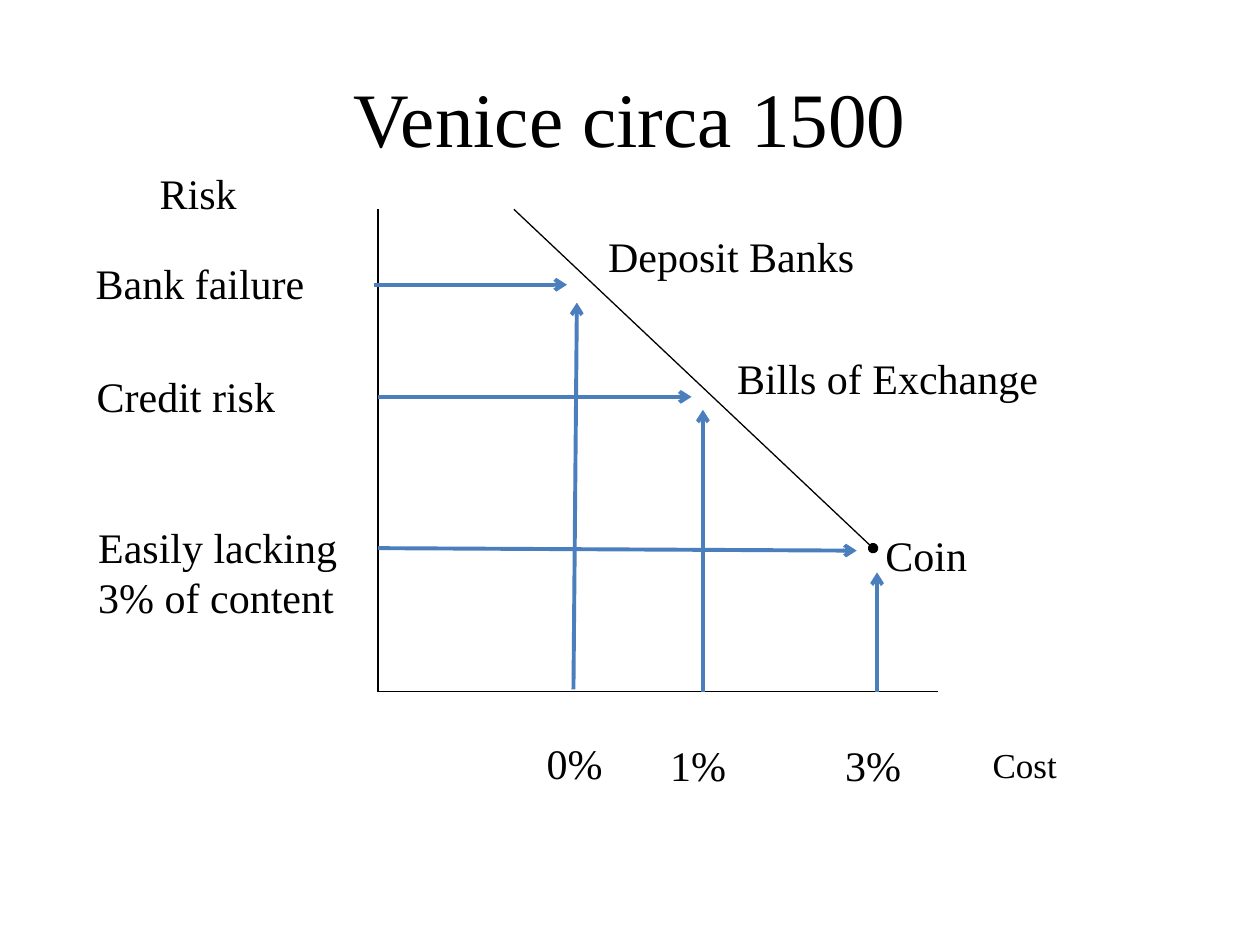
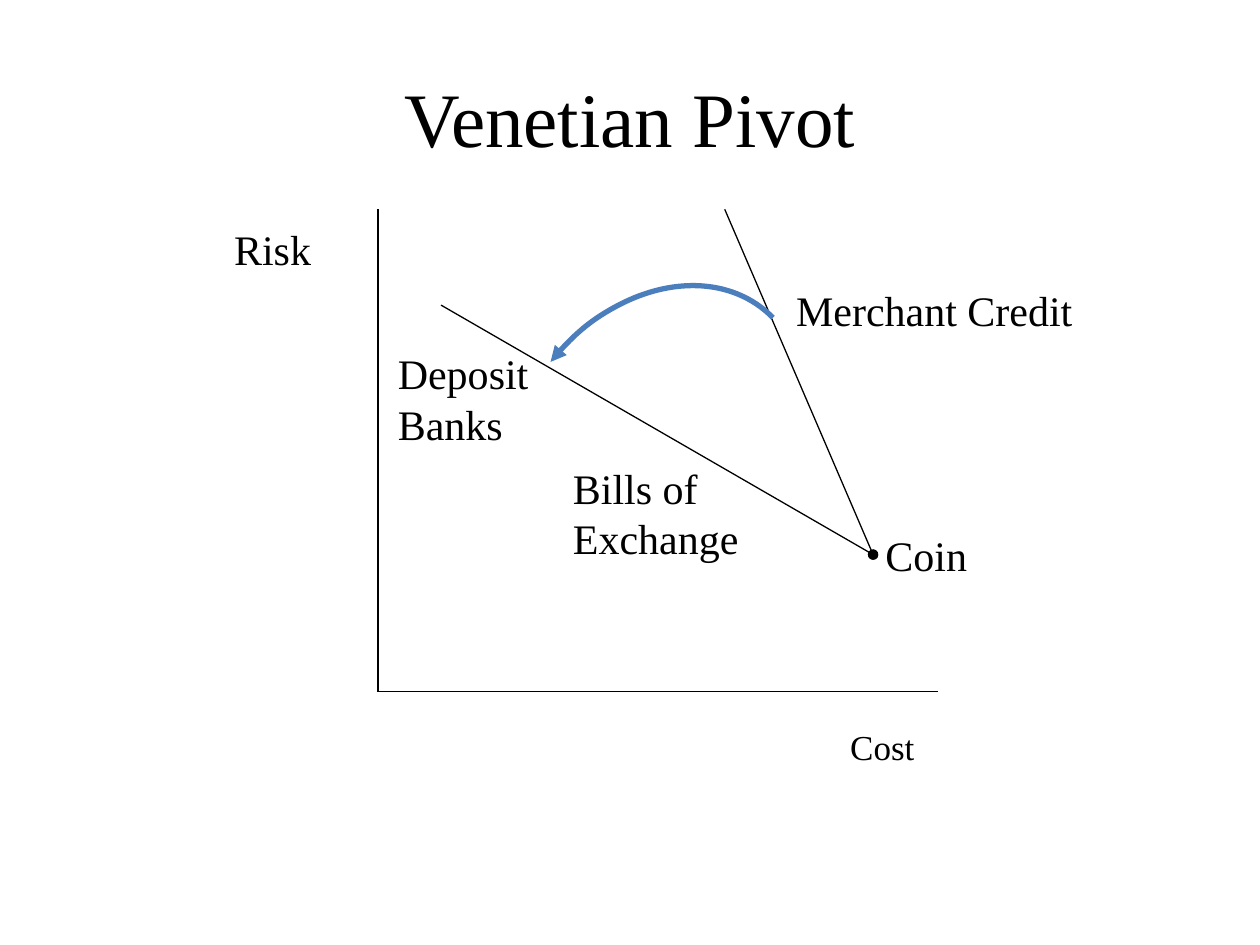
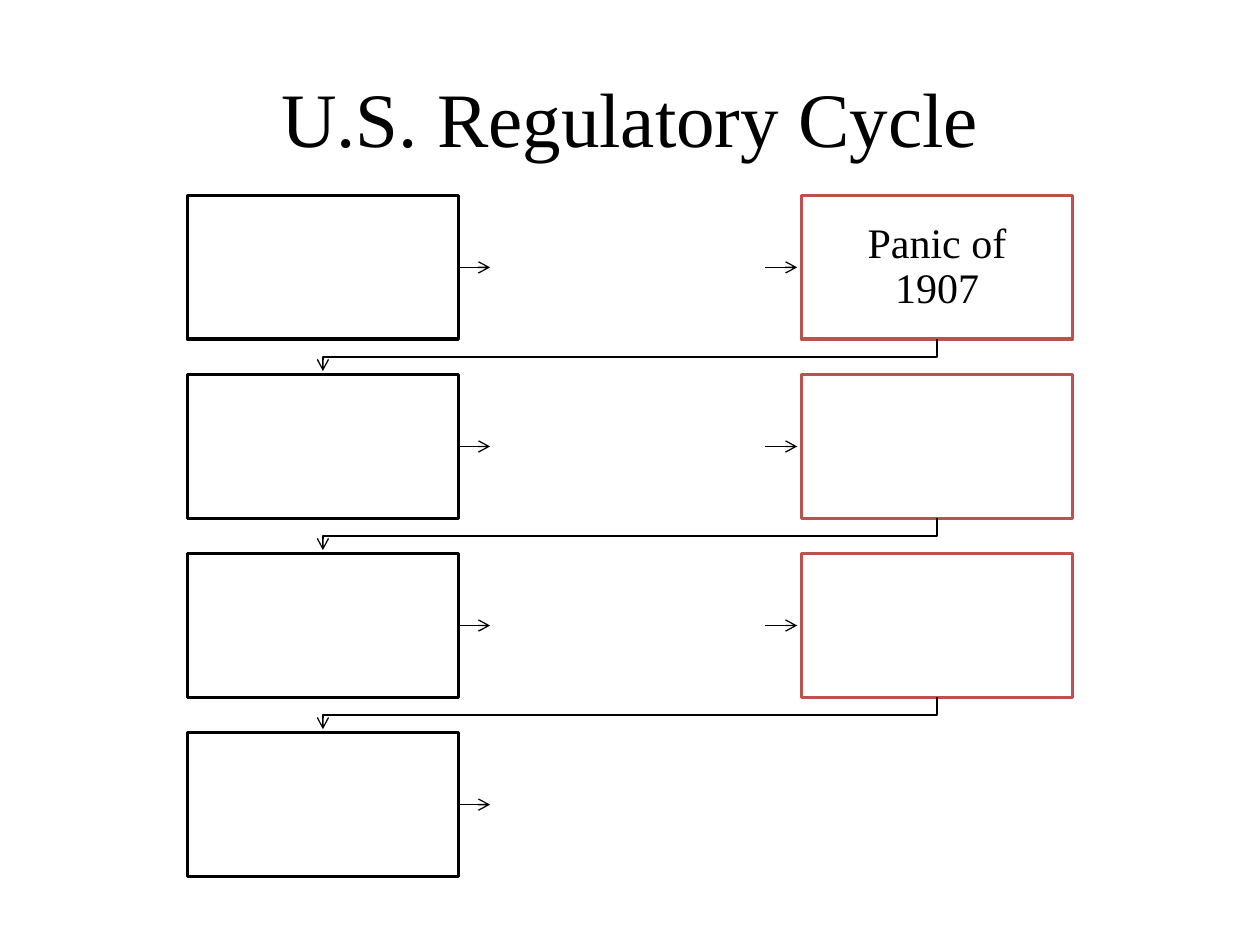
import pptx
import pptx.dml.color
import pptx.enum.shapes
import pptx.enum.text
import pptx.util
from lxml import etree
from pptx.oxml.ns import qn

Cm, Pt = pptx.util.Cm, pptx.util.Pt
SHAPE = pptx.enum.shapes.MSO_SHAPE
CENTER = pptx.enum.text.PP_ALIGN.CENTER
MIDDLE = pptx.enum.text.MSO_ANCHOR.MIDDLE

FONT = "Times New Roman"
COLORS = {"ink": "000000", "paper": "FFFFFF", "arrow": "4B7EBC", "crisis": "C0504D"}
TITLE_BOX = (1.27, 0.76, 22.86, 3.18)
PLOT_BOX = (7.62, 4.22, 11.28, 9.72)
CYCLE_BOX = (3.78, 3.94, 17.84, 13.73)


def rgb(name):
    return pptx.dml.color.RGBColor.from_string(COLORS[name])


def set_font(p, size):
    p.font.name, p.font.size = FONT, Pt(size)
    p.font.color.rgb = rgb("ink")


def set_line(s, color="ink", width=0.75, head=None, tail=None):
    """Style an outline; head and tail name the ends at its start and finish."""
    s.line.color.rgb = rgb(color)
    s.line.width = Pt(width)
    for tag, kind in (("a:headEnd", head), ("a:tailEnd", tail)):
        if kind:
            etree.SubElement(s.line._get_or_add_ln(), qn(tag), type=kind)


def add_line(slide, start, end, **style):
    s = slide.shapes.add_connector(pptx.enum.shapes.MSO_CONNECTOR.STRAIGHT,
                                   *(Cm(v) for v in (*start, *end)))
    set_line(s, **style)
    etree.SubElement(s._element.spPr, qn("a:effectLst"))
    return s


def add_text(slide, text, box, size=24, wrap=True):
    s = slide.shapes.add_textbox(*(Cm(v) for v in box))
    tf = s.text_frame
    tf.word_wrap = wrap
    tf.text = text
    for p in tf.paragraphs:
        set_font(p, size)
    return tf


def add_titled_slide(prs, title):
    slide = prs.slides.add_slide(prs.slide_layouts[6])
    tf = add_text(slide, title, TITLE_BOX, 44)
    tf.vertical_anchor = MIDDLE
    tf.paragraphs[0].alignment = CENTER
    return slide


def add_plot(slide, box, risk_at, cost_at, frontiers, labels, arrows=()):
    """Draw a risk and cost diagram; all points are offsets from the box corner."""
    left, top, width, height = box

    def at(point):
        return left + point[0], top + point[1]

    origin = at((0, height))
    add_line(slide, at((0, 0)), origin)
    add_line(slide, origin, at((width, height)))
    for name, point, size in (("Risk", risk_at, 24), ("Cost", cost_at, 20)):
        p = add_text(slide, name, (*at(point), 4.01, 1.73), size).paragraphs[0]
        p.line_spacing, p.space_after = 1.15, Pt(10)
    for start, end in frontiers:
        add_line(slide, at(start), at(end), tail="oval")
    for text, point, size, wrap in labels:
        add_text(slide, text, (*at(point), *size), wrap=wrap)
    for start, end in arrows:
        add_line(slide, at(start), at(end), color="arrow", width=2.25, tail="arrow")


def add_pivot_arc(slide, box):
    s = slide.shapes.add_shape(SHAPE.ARC, *(Cm(v) for v in box))
    s.adjustments[0], s.adjustments[1] = 162, 2.6
    s.rotation = 308.5
    s.shadow.inherit = False
    s.fill.background()
    set_line(s, "arrow", 3, head="triangle")


def add_card(slide, box, outline=None, text=""):
    s = slide.shapes.add_shape(SHAPE.RECTANGLE, *(Cm(v) for v in box))
    s.shadow.inherit = False
    s.fill.solid()
    s.fill.fore_color.rgb = rgb("paper")
    if outline:
        set_line(s, outline, 2)
    else:
        s.line.fill.background()
    if text:
        tf = s.text_frame
        tf.margin_left = tf.margin_right = tf.margin_top = tf.margin_bottom = Cm(0.48)
        tf.word_wrap, tf.vertical_anchor = True, MIDDLE
        tf.text = text
        p = tf.paragraphs[0]
        p.alignment, p.line_spacing = CENTER, 0.9
        set_font(p, 24)
    return s


def add_return_arrow(slide, start, end, bend_y):
    points = [(Cm(x), Cm(y)) for x, y in
              (start, (start[0], bend_y), (end[0], bend_y), end)]
    builder = slide.shapes.build_freeform(*points[0])
    builder.add_line_segments(points[1:], close=False)
    s = builder.convert_to_shape()
    s.shadow.inherit = False
    s.fill.background()
    set_line(s, tail="arrow")


def add_cycle(slide, box, rows):
    """Lay out rows of cards, read left to right and linked row to row."""
    left, top, width, height = box
    card_w, card_h, reach = 5.46, 2.9, 0.64
    step_x = (width - card_w) / 2
    step_y = (height - card_h) / (len(rows) - 1)
    outlines = ("ink", None, "crisis")
    for i, row in enumerate(rows):
        y = top + i * step_y
        for j, text in enumerate(row):
            x = left + j * step_x
            card = add_card(slide, (x, y, card_w, card_h), outlines[j], text)
            if j < len(row) - 1:
                edge, mid = x + card_w, y + card_h / 2
                s = add_line(slide, (edge, mid), (edge + reach, mid), tail="arrow")
                s.begin_connect(card, 3)
        if i < len(rows) - 1:
            bottom, center = y + card_h, left + card_w / 2
            add_return_arrow(slide, (center + 2 * step_x, bottom),
                             (center, bottom + reach), (bottom + y + step_y) / 2)


def main():
    prs = pptx.Presentation()
    prs.slide_width, prs.slide_height = Cm(25.4), Cm(19.05)

    axis_label, percent = (5.87, 1.27), (2.29, 1.27)
    coin_label = ("Coin", (9.98, 6.32), (2.18, 1.27), False)

    slide = add_titled_slide(prs, "Venice circa 1500")
    add_plot(
        slide, PLOT_BOX, risk_at=(-4.65, -1.12), cost_at=(12.14, 10.52),
        frontiers=[((2.74, 0), (9.98, 6.83))],
        labels=[
            coin_label,
            ("Bills of Exchange", (6.99, 2.77), (6.63, 1.27), False),
            ("Deposit Banks", (4.39, 0.3), (5.51, 1.27), False),
            ("Easily lacking 3% of content", (-5.89, 6.17), (5.87, 2.31), True),
            ("Credit risk", (-5.92, 3.12), axis_label, True),
            ("Bank failure", (-5.94, 0.84), axis_label, True),
            ("0%", (3.15, 10.52), percent, True),
            ("1%", (5.64, 10.57), percent, True),
            ("3%", (9.17, 10.57), percent, True),
        ],
        arrows=[
            ((0, 6.83), (9.65, 6.88)), ((10.06, 9.72), (10.06, 7.32)),
            ((0, 3.78), (6.32, 3.78)), ((6.55, 9.72), (6.55, 4.04)),
            ((-0.08, 1.52), (3.81, 1.52)), ((3.94, 9.68), (4.01, 1.88)),
        ])

    slide = add_titled_slide(prs, "Venetian Pivot")
    coin = (9.98, 6.96)
    add_plot(
        slide, PLOT_BOX, risk_at=(-3.15, 0), cost_at=(9.27, 10.16),
        frontiers=[((6.99, 0), coin), ((1.27, 1.93), coin)],
        labels=[
            coin_label,
            ("Bills of\nExchange", (3.68, 4.98), (3.89, 2.31), False),
            ("Deposit Banks", (0.15, 2.67), (3.35, 2.31), True),
            ("Merchant Credit", (8.18, 1.4), (6.12, 1.27), False),
        ])
    add_pivot_arc(slide, (PLOT_BOX[0] + 2.08, PLOT_BOX[1] + 2.06, 7.01, 5.38))

    slide = add_titled_slide(prs, "U.S. Regulatory Cycle")
    add_cycle(slide, CYCLE_BOX,
              [("", "", "Panic of 1907"), ("", "", ""), ("", "", ""), ("", "")])

    prs.save("out.pptx")


if __name__ == "__main__":
    main()
